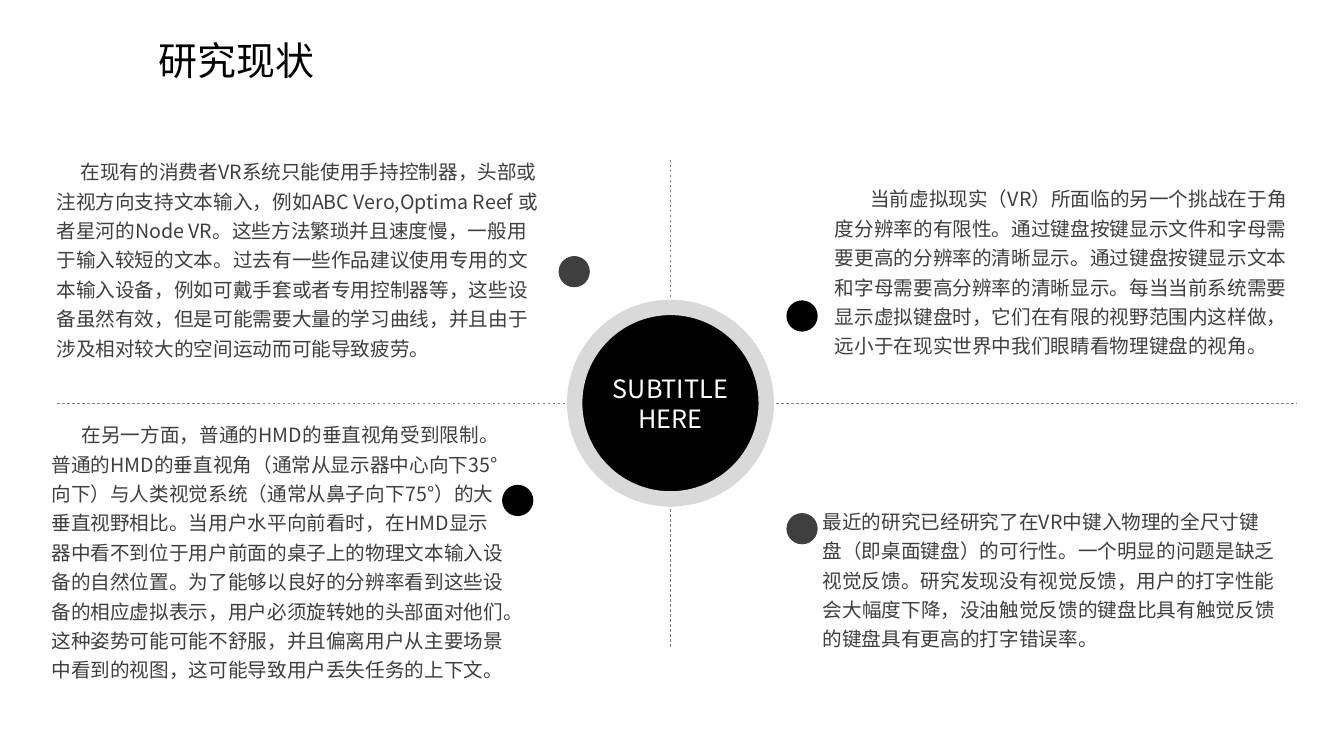
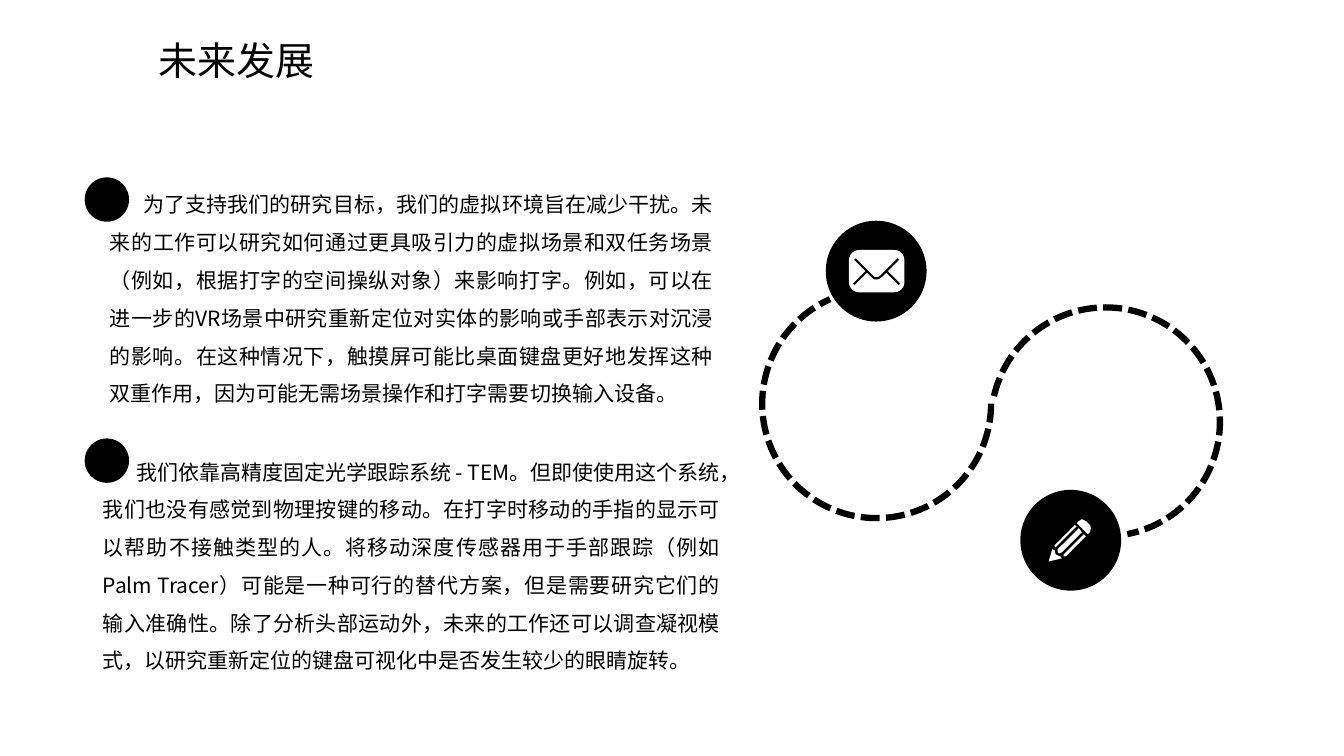
from dataclasses import dataclass

from lxml import etree
from pptx import Presentation
from pptx.dml.color import RGBColor
from pptx.enum.dml import MSO_LINE
from pptx.enum.shapes import MSO_CONNECTOR, MSO_SHAPE
from pptx.enum.text import MSO_ANCHOR, PP_ALIGN
from pptx.oxml.ns import qn
from pptx.util import Pt

PX = 9144
BLANK = 6
OVAL, ARC, ROUNDED = MSO_SHAPE.OVAL, MSO_SHAPE.ARC, MSO_SHAPE.ROUNDED_RECTANGLE
STRAIGHT = MSO_CONNECTOR.STRAIGHT
DASH, SYS_DASH = MSO_LINE.DASH, MSO_LINE.SQUARE_DOT
TOP, MIDDLE = MSO_ANCHOR.TOP, MSO_ANCHOR.MIDDLE
LEFT, CENTER, JUSTIFY = PP_ALIGN.LEFT, PP_ALIGN.CENTER, PP_ALIGN.JUSTIFY


@dataclass(frozen=True)
class Theme:
    font: str = "Noto Sans CJK SC"
    black: str = "000000"
    white: str = "FFFFFF"
    dark: str = "3F3F3F"
    gray: str = "808080"
    ring: str = "D9D9D9"
    title: float = 27.8
    hub: int = 18
    note: int = 14
    plan: int = 15


T = Theme()
TITLE_BOX = (152, 27, 778, 64)
NOTE = {"size": T.note, "color": T.dark, "spacing": 1.25}
PLAN = {"size": T.plan, "color": T.black, "spacing": 1.5, "align": JUSTIFY}

NOTES = [
    ((51, 148, 494, 275), 24, (503, 106, 31), T.dark,
     "在现有的消费者VR系统只能使用手持控制器，头部或注视方向支持文本输入，例如ABC Vero,Optima Reef 或者星河的Node VR。"
     "这些方法繁琐并且速度慢，一般用于输入较短的文本。过去有一些作品建议使用专用的文本输入设备，"
     "例如可戴手套或者专用控制器等，这些设备虽然有效，但是可能需要大量的学习曲线，"
     "并且由于涉及相对较大的空间运动而可能导致疲劳。"),
    ((823, 175, 475, 214), 35, (-43, 123, 31), T.black,
     "当前虚拟现实（VR）所面临的另一个挑战在于角度分辨率的有限性。通过键盘按键显示文件和字母需要更高的分辨率的清晰显示。"
     "通过键盘按键显示文本和字母需要高分辨率的清晰显示。每当当前系统需要显示虚拟键盘时，"
     "它们在有限的视野范围内这样做，远小于在现实世界中我们眼睛看物理键盘的视角。"),
    ((46, 409, 462, 330), 30, (452, 72, 31), T.black,
     "在另一方面，普通的HMD的垂直视角受到限制。普通的HMD的垂直视角（通常从显示器中心向下35°向下）"
     "与人类视觉系统（通常从鼻子向下75°）的大垂直视野相比。当用户水平向前看时，"
     "在HMD显示器中看不到位于用户前面的桌子上的物理文本输入设备的自然位置。"
     "为了能够以良好的分辨率看到这些设备的相应虚拟表示，用户必须旋转她的头部面对他们。"
     "这种姿势可能可能不舒服，并且偏离用户从主要场景中看到的视图，这可能导致用户丢失任务的上下文。"),
    ((811, 495, 462, 177), 0, (-31, 14, 31), T.dark,
     "最近的研究已经研究了在VR中键入物理的全尺寸键盘（即桌面键盘）的可行性。一个明显的问题是缺乏视觉反馈。"
     "研究发现没有视觉反馈，用户的打字性能会大幅度下降，"
     "没油触觉反馈的键盘比具有触觉反馈的键盘具有更高的打字错误率。"),
]
PLANS = [
    ((104, 173, 608, 258), 33, (-20, 3, 44), T.black,
     "为了支持我们的研究目标，我们的虚拟环境旨在减少干扰。未来的工作可以研究如何通过更具吸引力的虚拟场景和双任务场景"
     "（例如，根据打字的空间操纵对象）来影响打字。例如，可以在进一步的VR场景中研究重新定位对实体的影响"
     "或手部表示对沉浸的影响。在这种情况下，触摸屏可能比桌面键盘更好地发挥这种双重作用，"
     "因为可能无需场景操作和打字需要切换输入设备。"),
    ((97, 438, 622, 258), 33, (-13, -3, 44), T.black,
     "我们依靠高精度固定光学跟踪系统 - TEM。但即使使用这个系统，我们也没有感觉到物理按键的移动。"
     "在打字时移动的手指的显示可以帮助不接触类型的人。将移动深度传感器用于手部跟踪（例如Palm Tracer）"
     "可能是一种可行的替代方案，但是需要研究它们的输入准确性。除了分析头部运动外，"
     "未来的工作还可以调查凝视模式，以研究重新定位的键盘可视化中是否发生较少的眼睛旋转。"),
]
PENCIL = [
    [(41, 13), (39, 15), (28, 4), (30, 2), (33, 0), (37, 2), (41, 6), (42, 9)],
    [(15, 35), (35, 15), (37, 17), (17, 37), (15, 37)],
    [(6, 26), (26, 6), (28, 7), (7, 28), (6, 28)],
    [(30, 9), (33, 13), (13, 33), (11, 34), (9, 33), (9, 30)],
    [(13, 39), (12, 37), (11, 37), (7, 35), (6, 31), (4, 30), (4, 29), (0, 42)],
]


def px(*values):
    return [round(v * PX) for v in values]


def set_all(obj, values):
    for name, value in values.items():
        setattr(obj, name, value)


def paint(sp, fill=None, line=None, width=1, dash=None):
    sp.shadow.inherit = False
    if fill:
        sp.fill.solid()
        sp.fill.fore_color.rgb = RGBColor.from_string(fill)
    else:
        sp.fill.background()
    if line:
        stroke(sp.line, line, width, dash)
    else:
        sp.line.fill.background()
    return sp


def stroke(line, color, width, dash=None):
    line.color.rgb = RGBColor.from_string(color)
    set_all(line, {"width": Pt(width), "dash_style": dash})


def add_preset(s, kind, box, **style):
    return paint(s.shapes.add_shape(kind, *px(*box)), **style)


def add_line(s, ends, color, width, dash=None):
    cxn = s.shapes.add_connector(STRAIGHT, *px(*ends))
    stroke(cxn.line, color, width, dash)
    etree.SubElement(cxn._element.spPr, qn("a:effectLst"))


def add_outline(s, x, y, contours, close=True, **style):
    fb = s.shapes.build_freeform(*contours[0][0], scale=PX)
    for i, pts in enumerate(contours):
        if i:
            fb.move_to(*pts[0])
        fb.add_line_segments(pts[1:], close=close)
    return paint(fb.convert_to_shape(*px(x, y)), **style)


def write(sp, lines, size, color, align=LEFT, spacing=1.0, indent=0,
          anchor=TOP, wrap=True):
    tf = sp.text_frame
    set_all(tf, {"word_wrap": wrap, "vertical_anchor": anchor})
    set_all(tf, {f"margin_{side}": px(5)[0]
                 for side in ("left", "top", "right", "bottom")})
    for i, line in enumerate(lines):
        p = tf.add_paragraph() if i else tf.paragraphs[0]
        set_all(p, {"alignment": align, "line_spacing": spacing})
        if indent:
            p._p.get_or_add_pPr().set("indent", str(px(indent)[0]))
        r = p.add_run()
        r.text = line
        set_all(r.font, {"name": T.font, "size": Pt(size)})
        r.font.color.rgb = RGBColor.from_string(color)
        ea = etree.SubElement(r._r.get_or_add_rPr(), qn("a:ea"))
        ea.set("typeface", T.font)


def add_slide(prs, title):
    s = prs.slides.add_slide(prs.slide_layouts[BLANK])
    write(s.shapes.add_textbox(*px(*TITLE_BOX)), [title], T.title, T.black,
          anchor=MIDDLE)
    return s


def add_note(s, box, indent, dot, color, text, style):
    dx, dy, d = dot
    write(s.shapes.add_textbox(*px(*box)), [text], indent=indent, **style)
    add_preset(s, OVAL, (box[0] + dx, box[1] + dy, d, d), fill=color)


def add_hub(s, box, lines):
    x, y, w, h = box
    cx, cy, r = x + 608, y + h // 2, 95
    for ends in ((cx + r, cy, x + w, cy), (x, cy, cx - r, cy),
                 (cx, cy - r, cx, y), (cx, y + h, cx, cy + r)):
        add_line(s, ends, T.gray, 0.5, DASH)
    sp = add_preset(s, OVAL, (cx - r, cy - r, 2 * r, 2 * r),
                    fill=T.black, line=T.ring, width=11)
    write(sp, lines, T.hub, T.white, align=CENTER, anchor=MIDDLE, wrap=False)


def add_envelope(s, box):
    x, y, w, h = box
    sp = add_preset(s, ROUNDED, box, fill=T.white)
    sp.adjustments[0] = 0.24
    flap = [(6, 9), (23, 26), (25, 28), (27, 28), (29, 28), (32, 26), (49, 9)]
    add_outline(s, x, y, [flap], close=False, line=T.black, width=1.5)
    for outer, inner in ((5, 18), (w - 5, w - 18)):
        add_line(s, (x + outer, y + 34, x + inner, y + 21), T.black, 1.5)


def add_route(s, box):
    x, y, _, _ = box
    d = 227
    for dx, dy, start, end in ((227, 86, 193, 79), (0, 68, 0, 246)):
        sp = add_preset(s, ARC, (x + dx, y + dy, d, d),
                        line=T.black, width=4.5, dash=SYS_DASH)
        for i, angle in enumerate((start, end)):
            sp.adjustments[i] = angle * 0.6
    for dx, dy in ((63, 0), (256, 267)):
        add_preset(s, OVAL, (x + dx, y + dy, 100, 100), fill=T.black)
    add_envelope(s, (x + 86, y + 29, 55, 42))
    add_outline(s, x + 284, y + 296, PENCIL, fill=T.white)


def build_status(prs):
    s = add_slide(prs, "研究现状")
    add_hub(s, (57, 158, 1229, 484), ["SUBTITLE", "HERE"])
    for note in NOTES:
        add_note(s, *note, NOTE)


def build_future(prs):
    s = add_slide(prs, "未来发展")
    add_route(s, (756, 219, 453, 367))
    for plan in PLANS:
        add_note(s, *plan, PLAN)


def main():
    prs = Presentation()
    prs.slide_width, prs.slide_height = px(1333, 750)
    build_status(prs)
    build_future(prs)
    prs.save("out.pptx")


if __name__ == "__main__":
    main()
